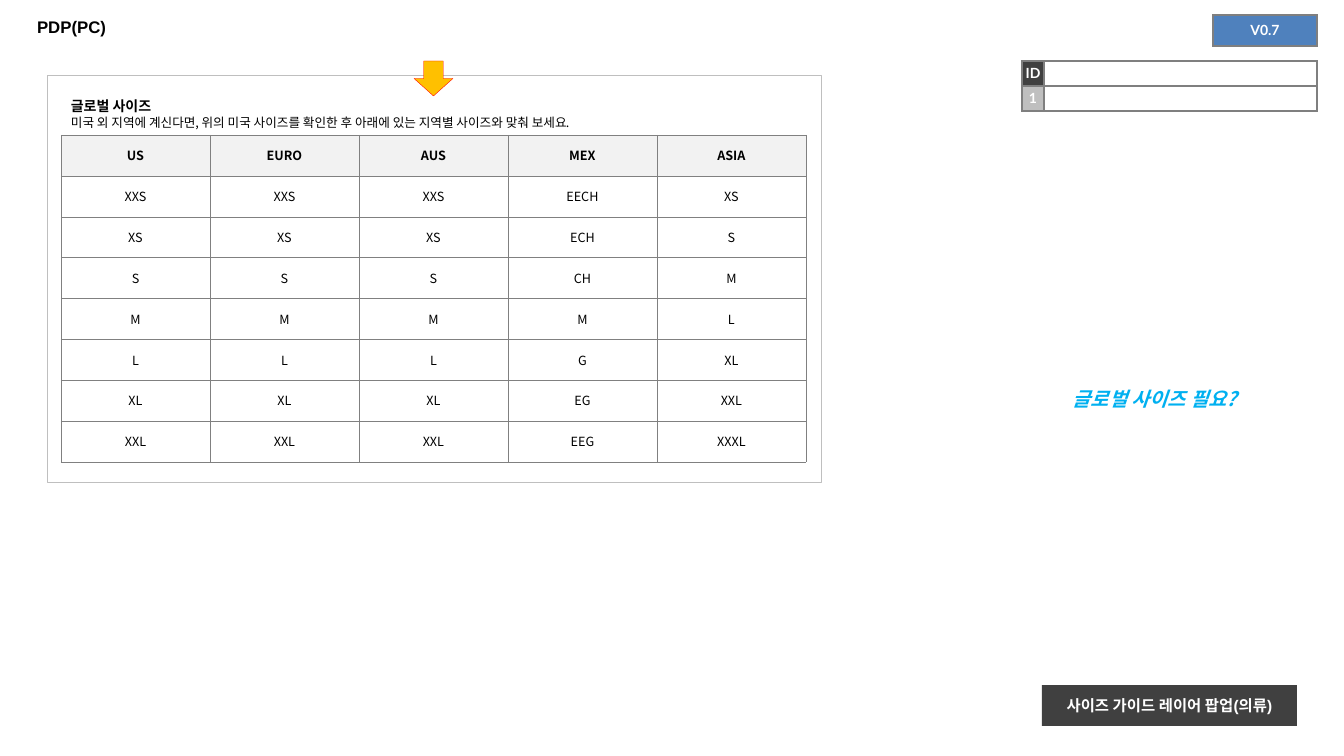
from lxml.etree import SubElement
from pptx import Presentation
from pptx.dml.color import RGBColor
from pptx.enum.shapes import MSO_SHAPE as Shape
from pptx.enum.text import MSO_ANCHOR as Anchor, MSO_AUTO_SIZE as AutoSize, PP_ALIGN as Align
from pptx.oxml.ns import qn
from pptx.util import Pt

EMU_PER_PX = 914400 / 100.8
KOREAN = "Noto Sans CJK KR"
COLORS = {
    "black": "000000", "white": "FFFFFF", "dark": "404040", "silver": "BFBFBF",
    "header": "F2F2F2", "grid": "808080", "meta_grid": "7F7F7F", "version": "4F81BD",
    "arrow": "FFC000", "arrow_edge": "FF0000", "question": "00B0F0",
}
SIZES = [
    ["US", "EURO", "AUS", "MEX", "ASIA"],
    ["XXS", "XXS", "XXS", "EECH", "XS"],
    ["XS", "XS", "XS", "ECH", "S"],
    ["S", "S", "S", "CH", "M"],
    ["M", "M", "M", "M", "L"],
    ["L", "L", "L", "G", "XL"],
    ["XL", "XL", "XL", "EG", "XXL"],
    ["XXL", "XXL", "XXL", "EEG", "XXXL"],
]


def px(length):
    return round(length * EMU_PER_PX)


def place(*lengths):
    return [px(length) for length in lengths]


def rgb(color):
    return RGBColor.from_string(COLORS[color])


def write(paragraph, text, size, font=KOREAN, color="black", bold=False, italic=False, align=Align.LEFT):
    paragraph.alignment = align
    if not text:
        SubElement(paragraph._p, qn("a:endParaRPr"), sz=str(size * 100))
        return
    run = paragraph.add_run()
    run.text = text
    run.font.size, run.font.name = Pt(size), font
    run.font.bold, run.font.italic = bold, italic
    run.font.color.rgb = rgb(color)
    SubElement(run._r.get_or_add_rPr(), qn("a:ea"), typeface=KOREAN)


def add_box(slide, kind, box, fill, edge=None):
    shape = slide.shapes.add_shape(kind, *place(*box))
    shape.shadow.inherit = False
    shape.fill.solid()
    shape.fill.fore_color.rgb = rgb(fill)
    if edge:
        shape.line.color.rgb = rgb(edge)
        shape.line.width = Pt(0.25)
    else:
        shape.line.fill.background()
    return shape


def add_note(slide, box, wrap=True):
    frame = slide.shapes.add_textbox(*place(*box)).text_frame
    frame.word_wrap = wrap
    frame.auto_size = AutoSize.SHAPE_TO_FIT_TEXT
    return frame


def add_borders(cell, color, width):
    properties = cell._tc.get_or_add_tcPr()
    for side in ("a:lnL", "a:lnR", "a:lnT", "a:lnB"):
        line = SubElement(properties, qn(side), w=str(Pt(width)))
        solid = SubElement(line, qn("a:solidFill"))
        SubElement(solid, qn("a:srgbClr"), val=COLORS[color])


def add_grid(slide, box, rows, fill_of, border, border_width, margin=None, widths=(), **text_format):
    table = slide.shapes.add_table(len(rows), len(rows[0]), *place(*box)).table
    table.first_row = table.horz_banding = False
    for column, width in zip(table.columns, widths):
        column.width = px(width)
    for r, row in enumerate(rows):
        for c, text in enumerate(row):
            cell = table.cell(r, c)
            add_borders(cell, border, border_width)
            cell.fill.solid()
            cell.fill.fore_color.rgb = rgb(fill_of(r, c))
            cell.vertical_anchor = Anchor.MIDDLE
            if margin is not None:
                cell.margin_left = cell.margin_right = cell.margin_top = cell.margin_bottom = margin
            bold = text_format.get("bold", r == 0)
            write(cell.text_frame.paragraphs[0], text, align=Align.CENTER, **{**text_format, "bold": bold})


def add_title(slide, text):
    title = slide.shapes.title
    title.left, title.top, title.width, title.height = place(27, 7, 1289, 39)
    title.text_frame.vertical_anchor = Anchor.MIDDLE
    write(title.text_frame.paragraphs[0], text, 12, font="Arial", bold=True)


def add_metadata(slide):
    style = dict(border="meta_grid", border_width=1, margin=0,
                 size=10, font="Lato", color="white", bold=True)
    add_grid(slide, (1213, 15, 104, 31), [["V0.7"]], lambda r, c: "version", **style)
    add_grid(slide, (1022, 61, 295, 50), [["ID", ""], ["1", ""]],
             lambda r, c: "white" if c else ("dark", "silver")[r], widths=(22, 273), **style)


def add_size_guide(slide):
    add_box(slide, Shape.RECTANGLE, (47, 75, 774, 407), "white", "silver")
    add_grid(slide, (61, 135, 745, 327), SIZES, lambda r, c: "white" if r else "header",
             border="grid", border_width=0.25, size=9)
    intro = add_note(slide, (61, 93, 745, 42))
    write(intro.paragraphs[0], "글로벌 사이즈", 10, bold=True)
    write(intro.add_paragraph(),
          "미국 외 지역에 계신다면, 위의 미국 사이즈를 확인한 후 아래에 있는 지역별 사이즈와 맞춰 보세요.", 9)
    add_box(slide, Shape.DOWN_ARROW, (414, 61, 39, 35), "arrow", "arrow_edge")


def main():
    deck = Presentation()
    deck.slide_width, deck.slide_height = place(1344, 756)
    slide = deck.slides.add_slide(deck.slide_layouts[5])
    add_title(slide, "PDP(PC)")
    add_metadata(slide)
    screen_name = add_box(slide, Shape.RECTANGLE, (1042, 685, 255, 41), "dark").text_frame
    screen_name.vertical_anchor = Anchor.MIDDLE
    write(screen_name.paragraphs[0], "사이즈 가이드 레이어 팝업(의류)", 11,
          font="Arial", color="white", bold=True, align=Align.CENTER)
    add_size_guide(slide)
    question = add_note(slide, (1063, 382, 203, 34), wrap=False)
    write(question.paragraphs[0], "글로벌 사이즈 필요?", 14, color="question", bold=True, italic=True)
    deck.save("out.pptx")


if __name__ == "__main__":
    main()
